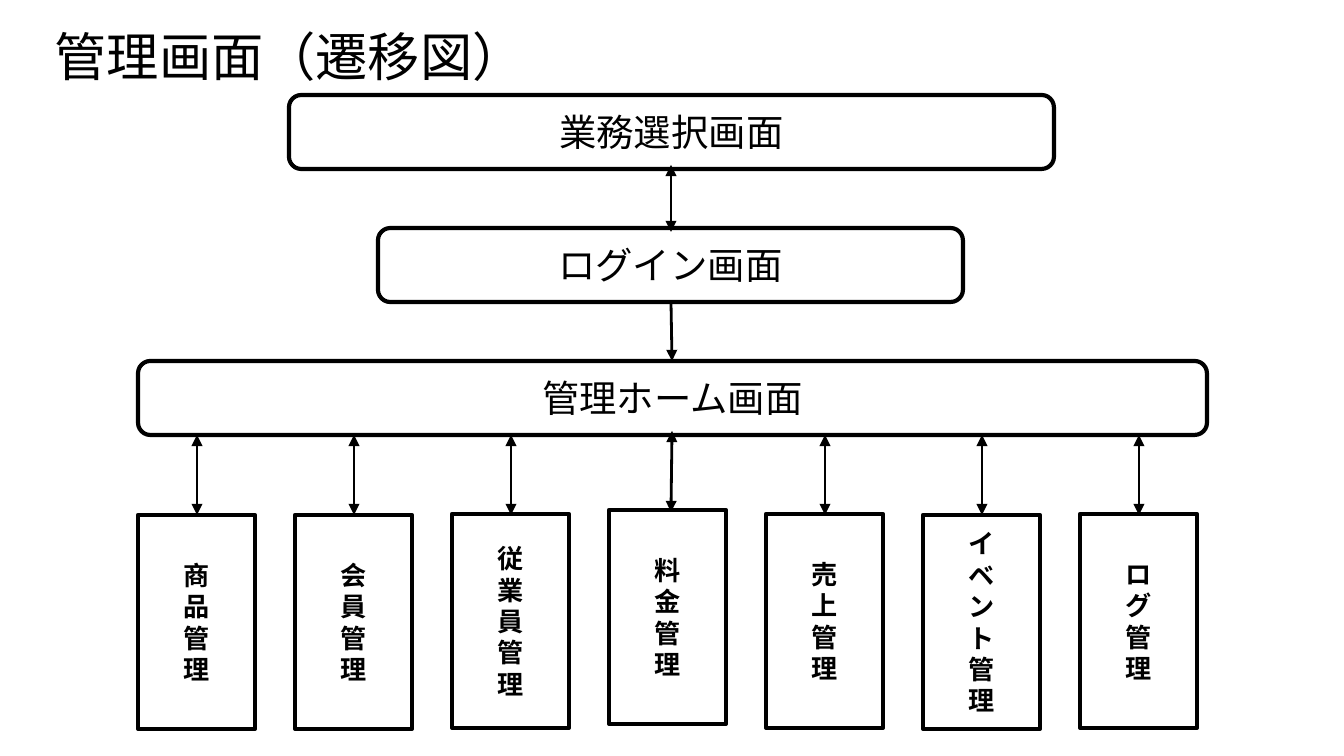
import pptx
import pptx.util
import pptx.dml.color
import pptx.enum.shapes
import pptx.enum.text
import pptx.oxml
import pptx.oxml.ns

PX = 9144000 / 1344
BLACK = pptx.dml.color.RGBColor(0, 0, 0)
WHITE = pptx.dml.color.RGBColor(255, 255, 255)
KIND = pptx.enum.shapes.MSO_SHAPE
ALIGN = pptx.enum.text.PP_ALIGN
ANCHOR = pptx.enum.text.MSO_ANCHOR

deck = pptx.Presentation()
deck.slide_width, deck.slide_height = round(1344 * PX), round(756 * PX)
slide = deck.slides.add_slide(deck.slide_layouts[5])


def write(shape, lines, size, bold, align, anchor):
    frame = shape.text_frame
    frame.word_wrap = True
    frame.auto_size = pptx.enum.text.MSO_AUTO_SIZE.NONE
    frame.vertical_anchor = anchor
    frame.margin_left = frame.margin_right = round(13 * PX)
    frame.margin_top = frame.margin_bottom = round(13 * PX)
    frame.text = "\n".join(lines)
    for para in frame.paragraphs:
        para.alignment = align
        para.font.name = "Arial"
        para.font.size = pptx.util.Pt(size)
        para.font.bold = bold
        para.font.color.rgb = BLACK


def draw(kind, area, lines, size, bold):
    box = slide.shapes.add_shape(kind, *[round(n * PX) for n in area])
    box.shadow.inherit = False
    box.fill.solid()
    box.fill.fore_color.rgb = WHITE
    box.line.color.rgb = BLACK
    box.line.width = pptx.util.Pt(2.25)
    write(box, lines, size, bold, ALIGN.CENTER, ANCHOR.MIDDLE)


# Title
title = slide.shapes.title
title.left, title.top, title.width, title.height = [
    round(n * PX) for n in (30, 11, 1253, 85)]
write(title, [" 管理画面（遷移図）"], 28, False, ALIGN.LEFT, ANCHOR.TOP)

# Main screens
screens = [
    ("業務選択画面", 289, 95, 765),
    ("ログイン画面", 378, 228, 585),
    ("管理ホーム画面", 138, 361, 1069),
]
for name, left, top, width in screens:
    draw(KIND.ROUNDED_RECTANGLE, (left, top, width, 74), [name], 20, False)

# Management screens, one character per line
arrows = [(671, 165, 671, 232, True), (671, 302, 672, 361, False)]
menus = [("商品管理", 515), ("会員管理", 515), ("従業員管理", 514),
         ("料金管理", 510), ("売上管理", 514), ("イベント管理", 515),
         ("ログ管理", 514)]
for i, (name, top) in enumerate(menus):
    draw(KIND.RECTANGLE, (138 + 157 * i, top, 117, 214), list(name), 14, True)
    if name == "料金管理":
        arrows.append((672, 431, 671, 512, True))
    else:
        arrows.append((197 + 157 * i, 435, 197 + 157 * i, 515, True))

# Arrows
for x1, y1, x2, y2, both in arrows:
    link = slide.shapes.add_connector(
        pptx.enum.shapes.MSO_CONNECTOR.STRAIGHT,
        *[round(n * PX) for n in (x1, y1, x2, y2)])
    link.line.color.rgb = BLACK
    link.line.width = pptx.util.Pt(1.5)
    line = link.line._get_or_add_ln()
    for end in ["headEnd", "tailEnd"] if both else ["tailEnd"]:
        tip = pptx.oxml.parse_xml(
            f'<a:{end} {pptx.oxml.ns.nsdecls("a")} type="triangle"/>')
        line.append(tip)
    link._element.spPr.append(pptx.oxml.parse_xml(
        f'<a:effectLst {pptx.oxml.ns.nsdecls("a")}/>'))

deck.save("out.pptx")
